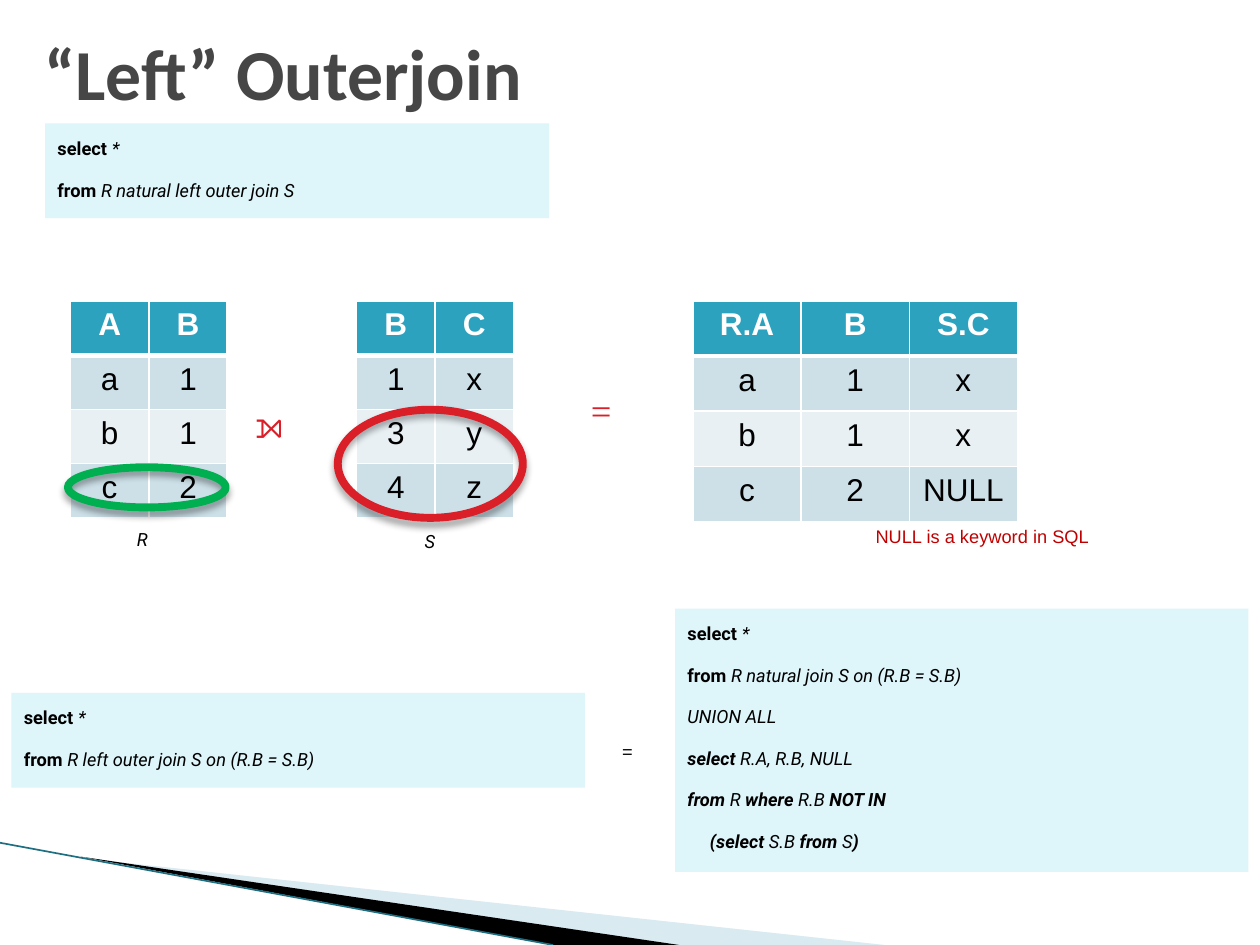
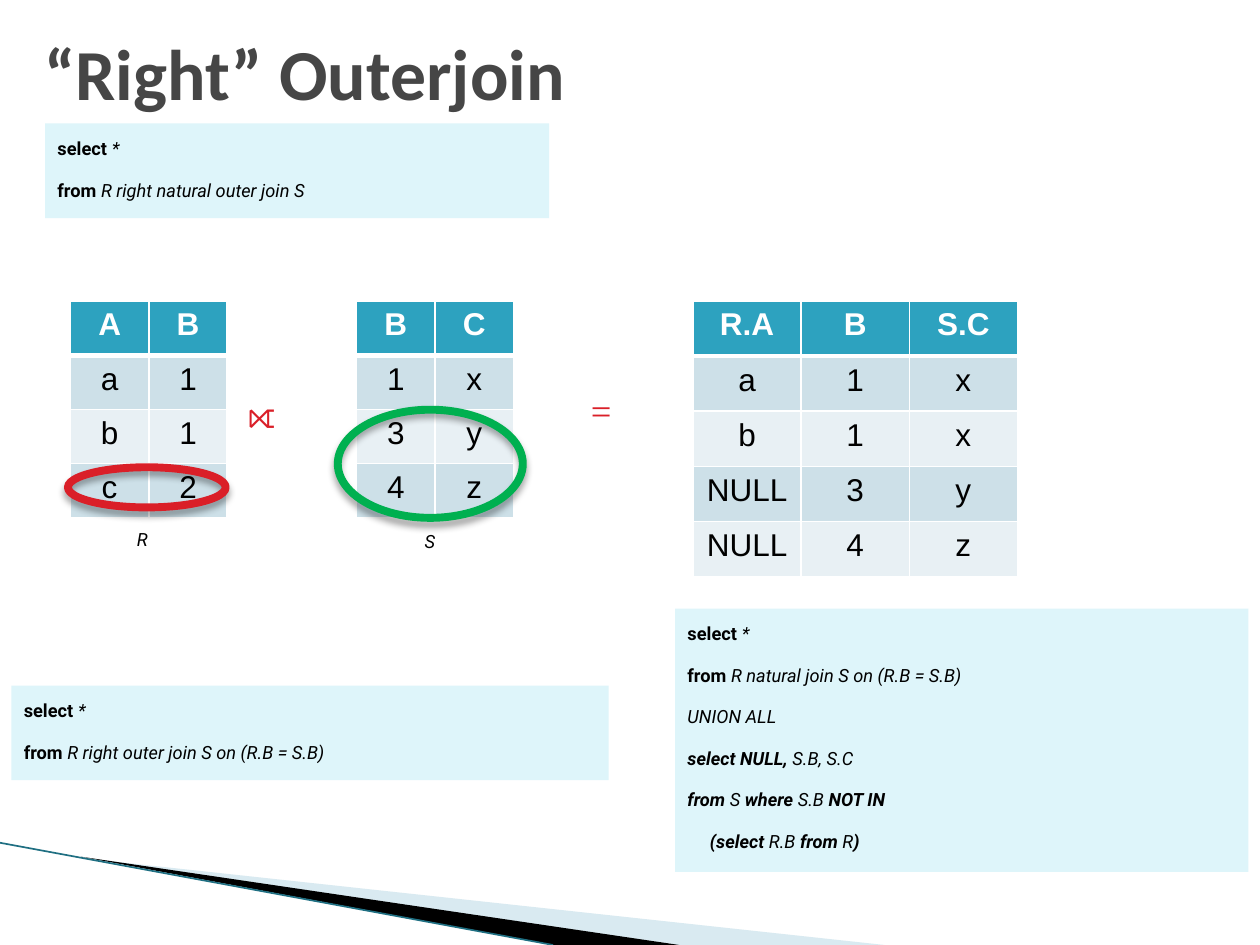
from dataclasses import dataclass

from lxml import etree
from pptx import Presentation
from pptx import util as u
from pptx.dml import color
from pptx.enum import shapes, text
from pptx.oxml import ns

Cm, Pt = u.Cm, u.Pt

COLORS = {
    "title": "464646", "code_bg": "DEF5FA", "header": "2DA2BF",
    "odd_row": "CDE0E8", "even_row": "E8F0F4", "white": "FFFFFF",
    "black": "000000", "red": "DA1F28", "green": "00B050", "note": "C00000",
    "pale_wedge": "A0CBDC", "band_line": "1F6F82",
}
RAISED = "30000"


@dataclass(frozen=True)
class Box:
    left: float
    top: float
    width: float
    height: float

    def lengths(self) -> list:
        return [Cm(v) for v in (self.left, self.top, self.width, self.height)]


@dataclass(frozen=True)
class Style:
    font: str
    size: int
    color: str = "black"
    bold: bool = False
    italic: bool = False
    raised: bool = True


@dataclass(frozen=True)
class Label:
    text: str
    box: Box
    style: Style


@dataclass(frozen=True)
class Grid:
    left: float
    col_width: float
    row_height: float
    rows: list


@dataclass(frozen=True)
class JoinSlide:
    title: str
    natural_join: str
    outer_join: str
    outer_box: Box
    symbol: Label
    result: list
    r_ring: str
    s_ring: str
    kept: tuple
    extras: tuple = ()


CODE_STYLES = {
    key: Style("Roboto", 18, bold="b" in key, italic="i" in key)
    for key in ("b", "i", "bi")
}
TITLE = Style("Calibri", 41, "title", bold=True, raised=False)
HEAD_CELL = Style("Arial", 18, "white", bold=True, raised=False)
BODY_CELL = Style("Arial", 18, raised=False)
OPERATOR = Style("Times New Roman", 36, "red")

TITLE_BOX = Box(0.64, 0.43, 11.63, 2.03)
NATURAL_BOX = Box(0.91, 2.49, 10.16, 1.91)
UNION_BOX = Box(13.61, 12.27, 11.56, 5.31)
R_RING = Box(1.37, 9.42, 3.18, 0.81)
S_RING = Box(6.81, 8.26, 3.73, 2.18)
TABLE_TOP = 6.07
TABLE_R = Grid(1.42, 1.58, 1.09, ["AB", "a1", "b1", "c2"])
TABLE_S = Grid(7.19, 1.58, 1.09, ["BC", "1x", "3y", "4z"])
SHARED_LABELS = (
    Label("R", Box(2.51, 10.44, 0.97, 1.02), CODE_STYLES["i"]),
    Label("S", Box(8.31, 10.49, 0.97, 1.02), CODE_STYLES["i"]),
    Label("=", Box(11.66, 7.54, 1.24, 1.8), OPERATOR),
)


def rgb(name: str) -> color.RGBColor:
    return color.RGBColor.from_string(COLORS[name])


def add_xml(parent, tag: str, **attrs: str):
    return etree.SubElement(parent, ns.qn(tag), attrs)


def add_run(p, words: str, style: Style) -> None:
    r = p.add_run()
    r.text = words
    r.font.name, r.font.size = style.font, Pt(style.size)
    r.font.bold, r.font.italic = style.bold, style.italic
    r.font.color.rgb = rgb(style.color)
    if style.raised:
        r.font._element.set("baseline", RAISED)


def add_label(s, label: Label, anchor=text.MSO_ANCHOR.TOP) -> None:
    tf = s.shapes.add_textbox(*label.box.lengths()).text_frame
    tf.word_wrap = True
    tf.vertical_anchor = anchor
    add_run(tf.paragraphs[0], label.text, label.style)


def add_code(s, box: Box, paragraphs: list) -> None:
    """Draw a code panel; a run ending in a newline adds a line break."""
    sp = s.shapes.add_shape(shapes.MSO_SHAPE.RECTANGLE, *box.lengths())
    sp.shadow.inherit = False
    sp.fill.solid()
    sp.fill.fore_color.rgb = rgb("code_bg")
    sp.line.fill.background()
    tf = sp.text_frame
    tf.word_wrap = True
    tf.auto_size = text.MSO_AUTO_SIZE.SHAPE_TO_FIT_TEXT
    tf.vertical_anchor = text.MSO_ANCHOR.TOP
    for i, runs in enumerate(paragraphs):
        p = tf.add_paragraph() if i else tf.paragraphs[0]
        p.alignment = text.PP_ALIGN.LEFT
        p.line_spacing = 1.1
        for words, key in runs:
            add_run(p, words.rstrip("\n"), CODE_STYLES[key])
            if words.endswith("\n"):
                p.add_line_break()
                p._p[-1].append(etree.fromstring(etree.tostring(p.runs[-1].font._element)))


def select_all(source: str) -> list:
    return [("select ", "b"), ("*\n", "i"), ("from ", "b"), (source, "i")]


def union_query(columns: list, kept: str, other: str) -> list:
    """Spell an outer join as a natural join plus the unmatched rows of one side."""
    return [
        select_all("R natural join S on (R.B = S.B)"),
        [("UNION ALL", "i")],
        columns,
        [("from ", "bi"), (kept, "i"), (" where ", "bi"), (f"{kept}.B", "i"), (" NOT IN", "bi")],
        [("     (select ", "bi"), (f"{other}.B ", "i"), ("from ", "bi"), (other, "i"), (")", "bi")],
    ]


def add_borders(cell, row: int) -> None:
    tc_pr = cell._tc.get_or_add_tcPr()
    heavy = {0: "B", 1: "T"}.get(row)
    for side in "LRTB":
        ln = add_xml(tc_pr, f"a:ln{side}", w=str(Pt(3 if side == heavy else 1)))
        add_xml(add_xml(ln, "a:solidFill"), "a:srgbClr", val=COLORS["white"])


def add_grid(s, grid: Grid) -> None:
    n_rows, n_cols = len(grid.rows), len(grid.rows[0])
    box = Box(grid.left, TABLE_TOP, n_cols * grid.col_width, n_rows * grid.row_height)
    table = s.shapes.add_table(n_rows, n_cols, *box.lengths()).table
    for col in table.columns:
        col.width = Cm(grid.col_width)
    for i, values in enumerate(grid.rows):
        table.rows[i].height = Cm(grid.row_height)
        fill = "header" if i == 0 else ("even_row", "odd_row")[i % 2]
        for j, value in enumerate(values):
            cell = table.cell(i, j)
            add_borders(cell, i)
            cell.fill.solid()
            cell.fill.fore_color.rgb = rgb(fill)
            p = cell.text_frame.paragraphs[0]
            p.alignment = text.PP_ALIGN.CENTER
            add_run(p, value, BODY_CELL if i else HEAD_CELL)


def add_ring(s, box: Box, line_color: str) -> None:
    sp = s.shapes.add_shape(shapes.MSO_SHAPE.OVAL, *box.lengths())
    sp.fill.background()
    sp.line.color.rgb = rgb(line_color)
    sp.line.width = Pt(4.5)
    sp.shadow.inherit = False
    effects = sp._element.spPr.find(ns.qn("a:effectLst"))
    shadow = add_xml(effects, "a:outerShdw", blurRad=str(Pt(4)), dist=str(Pt(3)),
                     dir="5400000", rotWithShape="0")
    add_xml(add_xml(shadow, "a:srgbClr", val=COLORS["black"]), "a:alpha", val="35000")


def add_wedge(s, points: list, fill: str, alpha: int = 100) -> None:
    start, *rest = [(Cm(x), Cm(y)) for x, y in points]
    builder = s.shapes.build_freeform(*start)
    builder.add_line_segments(rest, close=True)
    sp = builder.convert_to_shape()
    sp.shadow.inherit = False
    sp.fill.solid()
    sp.fill.fore_color.rgb = rgb(fill)
    sp.line.fill.background()
    if alpha < 100:
        clr = sp._element.spPr.find(".//" + ns.qn("a:srgbClr"))
        add_xml(clr, "a:alpha", val=str(alpha * 1000))


def add_corner_band(s) -> None:
    add_wedge(s, [(1.65, 17.3), (17.83, 19.05), (13.67, 19.05)], "pale_wedge", 40)
    add_wedge(s, [(1.63, 17.27), (13.69, 19.05), (11.15, 19.05)], "black")
    line = s.shapes.add_connector(shapes.MSO_CONNECTOR.STRAIGHT,
                                  Cm(0), Cm(16.99), Cm(11.15), Cm(19.05))
    line.line.color.rgb = rgb("band_line")
    line.line.width = Pt(0.95)
    add_xml(line._element.spPr, "a:effectLst")


def add_join_slide(prs, join: JoinSlide) -> None:
    s = prs.slides.add_slide(prs.slide_layouts[6])
    add_corner_band(s)
    add_label(s, Label(join.title, TITLE_BOX, TITLE), text.MSO_ANCHOR.MIDDLE)
    add_code(s, NATURAL_BOX, [select_all(join.natural_join)])
    result = Grid(13.97, 2.18, 1.11, [["R.A", "B", "S.C"], *join.result])
    for grid in (result, TABLE_R, TABLE_S):
        add_grid(s, grid)
    for label in (*SHARED_LABELS, join.symbol, *join.extras):
        add_label(s, label)
    add_ring(s, R_RING, join.r_ring)
    add_ring(s, S_RING, join.s_ring)
    add_code(s, join.outer_box, [select_all(join.outer_join)])
    add_code(s, UNION_BOX, union_query(*join.kept))


JOINS = (
    JoinSlide(
        title="“Left” Outerjoin",
        natural_join="R natural left outer join S",
        outer_join="R left outer join S on (R.B = S.B)",
        outer_box=Box(0.23, 13.97, 11.56, 1.91),
        symbol=Label("⟕", Box(4.9, 7.82, 1.83, 1.8), OPERATOR),
        result=["a1x", "b1x", ["c", "2", "NULL"]],
        r_ring="green",
        s_ring="red",
        kept=([("select ", "bi"), ("R.A, R.B, NULL", "i")], "R", "S"),
        extras=(
            Label("NULL is a keyword in SQL", Box(17.4, 10.39, 8, 1.02),
                  Style("Arial", 18, "note")),
            Label("=", Box(12.29, 14.73, 0.89, 1.02), Style("Arial", 18)),
        ),
    ),
    JoinSlide(
        title="“Right” Outerjoin",
        natural_join="R right natural outer join S",
        outer_join="R right outer join S on (R.B = S.B)",
        outer_box=Box(0.23, 13.82, 12.04, 1.91),
        symbol=Label("⟖", Box(4.75, 7.62, 1.83, 1.8), OPERATOR),
        result=["a1x", "b1x", ["NULL", "3", "y"], ["NULL", "4", "z"]],
        r_ring="red",
        s_ring="green",
        kept=([("select NULL, ", "bi"), ("S.B, S.C", "i")], "S", "R"),
    ),
)


def main() -> None:
    prs = Presentation()
    prs.slide_width, prs.slide_height = Cm(25.4), Cm(19.05)
    for join in JOINS:
        add_join_slide(prs, join)
    prs.save("out.pptx")


if __name__ == "__main__":
    main()
